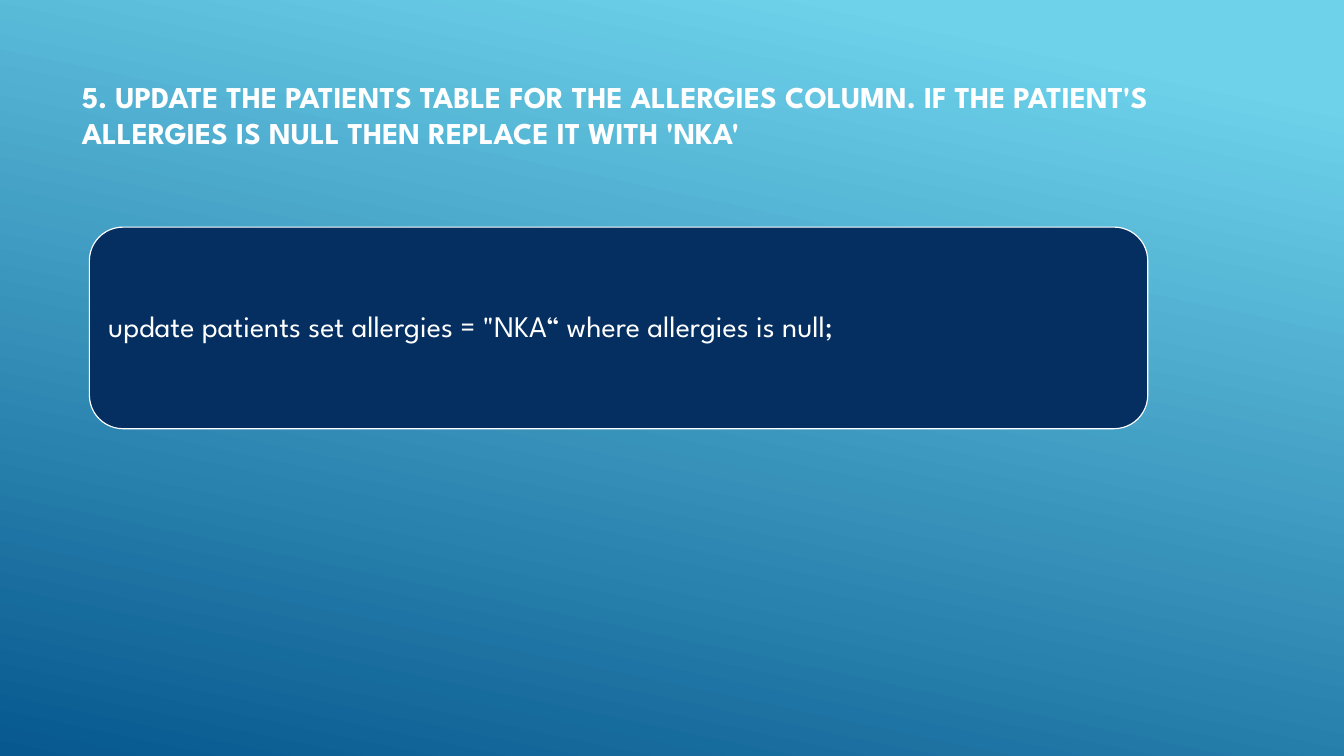
import pptx
import pptx.util
import pptx.dml.color
import pptx.enum.shapes
import pptx.enum.text

Inches = pptx.util.Inches
Pt = pptx.util.Pt
FONT = "League Spartan"
WHITE = "FFFFFF"
NAVY = "052F61"
SKY = "6ED2EB"
OCEAN = "06588E"


def color(hex_string):
    """Return the colour for a hex string."""
    return pptx.dml.color.RGBColor.from_string(hex_string)


def paint_background(slide):
    """Fill the slide with a gradient from sky blue to ocean blue."""
    fill = slide.background.fill
    fill.gradient()
    fill.gradient_angle = 258
    for stop, position, shade in zip(fill.gradient_stops, (0.1, 1), (SKY, OCEAN)):
        stop.position = position
        stop.color.rgb = color(shade)


def add_text(shapes, box, wording, size, anchor, bold=False):
    """Add a wrapped white text box and return its frame."""
    frame = shapes.add_textbox(*map(Inches, box)).text_frame
    frame.word_wrap = True
    frame.vertical_anchor = anchor
    paragraph = frame.paragraphs[0]
    paragraph.text = wording
    paragraph.font.name = FONT
    paragraph.font.size = Pt(size)
    paragraph.font.bold = bold
    paragraph.font.color.rgb = color(WHITE)
    return frame


def add_question(slide, box, wording):
    """Add the question as a bold heading."""
    add_text(slide.shapes, box, wording, 32.4,
             pptx.enum.text.MSO_ANCHOR.BOTTOM, bold=True)


def add_query(slide, box, wording):
    """Add the SQL answer on a rounded navy panel."""
    left, top, width, height = box
    group = slide.shapes.add_group_shape()
    panel = group.shapes.add_shape(
        pptx.enum.shapes.MSO_SHAPE.ROUNDED_RECTANGLE, *map(Inches, box))
    panel.shadow.inherit = False
    panel.fill.solid()
    panel.fill.fore_color.rgb = color(NAVY)
    panel.line.color.rgb = color(WHITE)
    panel.line.width = Pt(1.25)

    gap = 0.15
    inner = (left + gap, top + gap, width - 2 * gap, height - 2 * gap)
    frame = add_text(group.shapes, inner, wording, 32,
                     pptx.enum.text.MSO_ANCHOR.MIDDLE)
    frame.margin_left = frame.margin_right = Inches(0.13)
    frame.margin_top = frame.margin_bottom = Inches(0.13)
    frame.paragraphs[0].line_spacing = 0.9


def main():
    """Build and save the slide."""
    deck = pptx.Presentation()
    deck.slide_width = Inches(20)
    deck.slide_height = Inches(11.25)
    slide = deck.slides.add_slide(deck.slide_layouts[6])
    paint_background(slide)
    add_question(
        slide, (1.12, 1.12, 17.96, 1.17),
        "5. UPDATE THE PATIENTS TABLE FOR THE ALLERGIES COLUMN. "
        "IF THE PATIENT'S ALLERGIES IS NULL THEN REPLACE IT WITH 'NKA'")
    add_query(slide, (1.33, 3.38, 15.75, 3),
              'update patients set allergies = "NKA“ where allergies is null;')
    deck.save("out.pptx")


if __name__ == "__main__":
    main()
